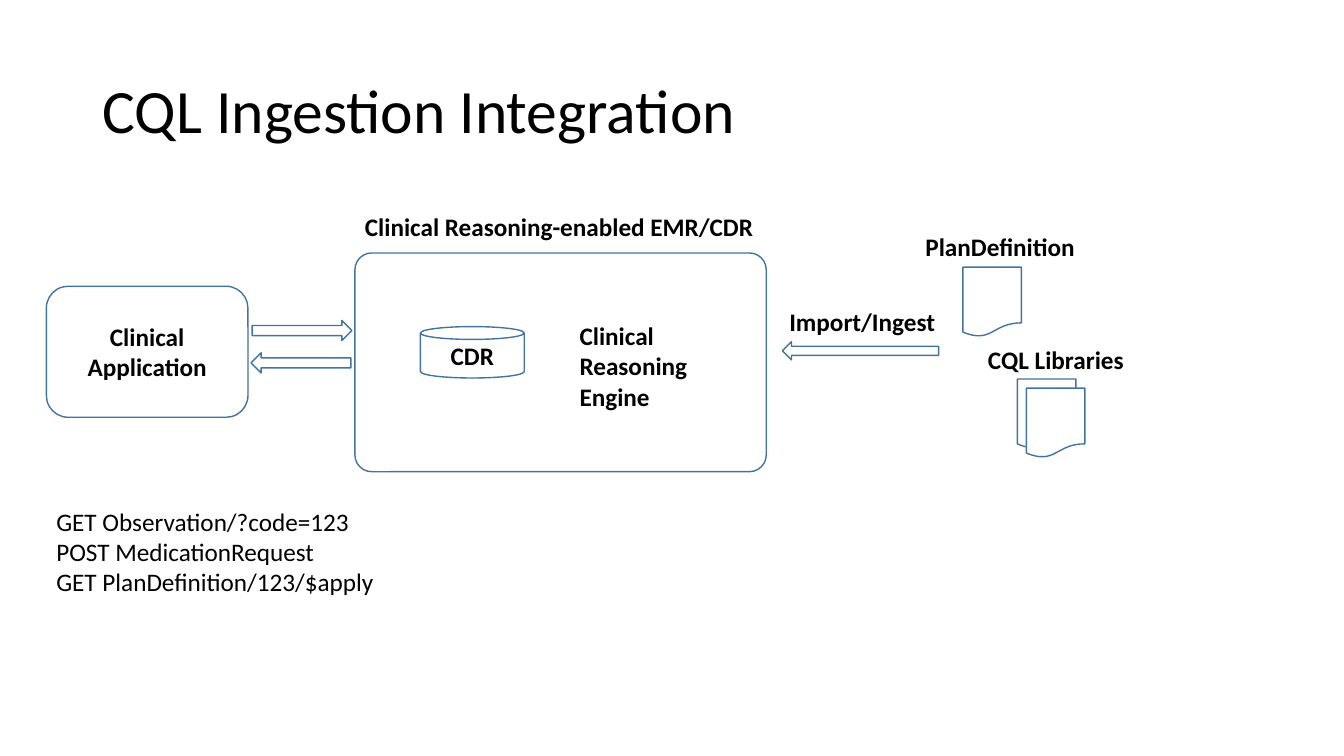
import pptx
import pptx.dml.color
import pptx.enum.shapes
import pptx.enum.text
import pptx.util

SHAPE = pptx.enum.shapes.MSO_SHAPE
ANCHOR = pptx.enum.text.MSO_ANCHOR
ALIGN = pptx.enum.text.PP_ALIGN
FIT = pptx.enum.text.MSO_AUTO_SIZE

deck = pptx.Presentation()
deck.slide_width = pptx.util.Inches(13.33)
deck.slide_height = pptx.util.Inches(7.5)
slide = deck.slides.add_slide(deck.slide_layouts[6])

# The grid has 133.3 columns and 75 rows, so each cell is a tenth of an inch
COLUMN = deck.slide_width / 133.3
ROW = deck.slide_height / 75


def write(frame, lines, size=18, bold=True, align=ALIGN.LEFT):
    for number, line in enumerate(lines):
        paragraph = frame.paragraphs[0] if number == 0 else frame.add_paragraph()
        paragraph.alignment = align
        run = paragraph.add_run()
        run.text = line
        run.font.name = "Calibri"
        run.font.size = pptx.util.Pt(size)
        run.font.bold = bold
        run.font.color.rgb = pptx.dml.color.RGBColor.from_string("000000")


def cells(left, top, width, height):
    """Turn grid columns and rows into slide lengths."""
    return [round(n * unit) for n, unit in
            ((left, COLUMN), (top, ROW), (width, COLUMN), (height, ROW))]


title = slide.shapes.add_textbox(*cells(9.2, 4, 115, 14.5)).text_frame
title.word_wrap = True
title.vertical_anchor = ANCHOR.MIDDLE
write(title, ["CQL Ingestion Integration"], size=44, bold=False)
title.paragraphs[0].line_spacing = 0.9

# Outlined parts, back to front: preset, grid place, fill, rotation, corner, text
page = (5.8, 6.9)
parts = [
    (SHAPE.ROUNDED_RECTANGLE, (35.2, 25.1, 40.8, 21.7), None, 0, 0.077, ""),
    (SHAPE.FLOWCHART_DOCUMENT, (95.5, 26.5, *page), None, 0, None, ""),
    (SHAPE.FLOWCHART_DOCUMENT, (100.9, 37.6, *page), None, 0, None, ""),
    (SHAPE.FLOWCHART_DOCUMENT, (101.8, 38.5, *page), "FFFFFF", 0, None, ""),
    (SHAPE.RIGHT_ARROW, (77.6, 33.9, 15.5, 1.8), "FFFFFF", 180, None, ""),
    (SHAPE.ROUNDED_RECTANGLE, (4.6, 28.4, 20, 13), None, 0, None,
     "Clinical Application"),
    (SHAPE.RIGHT_ARROW, (25, 31.8, 9.9, 2), "FFFFFF", 0, None, ""),
    (SHAPE.RIGHT_ARROW, (24.9, 35, 9.9, 2), "FFFFFF", 180, None, ""),
    (SHAPE.CAN, (41.7, 32.4, 10.3, 5.1), "FFFFFF", 0, None, "CDR"),
]
for preset, place, fill, rotation, corner, label in parts:
    part = slide.shapes.add_shape(preset, *cells(*place))
    part.shadow.inherit = False
    part.rotation = rotation
    part.line.color.rgb = pptx.dml.color.RGBColor.from_string("43739E")
    part.line.width = pptx.util.Pt(1)
    if fill:
        part.fill.solid()
        part.fill.fore_color.rgb = pptx.dml.color.RGBColor.from_string(fill)
    else:
        part.fill.background()
    if corner:
        part.adjustments[0] = corner
    if label:
        part.text_frame.word_wrap = True
        part.text_frame.vertical_anchor = ANCHOR.MIDDLE
        write(part.text_frame, [label], align=ALIGN.CENTER)

# Free labels: grid place, wrapping, bold, lines
labels = [
    ((35.2, 20.5, 40.8, 4), False, True, ["Clinical Reasoning-enabled EMR/CDR"]),
    ((90.8, 22.5, 17, 4), False, True, ["PlanDefinition"]),
    ((97, 33.7, 15.6, 4), False, True, ["CQL Libraries"]),
    ((77.3, 29.9, 16.6, 4), False, True, ["Import/Ingest"]),
    ((56.5, 31.3, 13.7, 10.1), True, True, ["Clinical Reasoning Engine"]),
    ((4.6, 49.7, 33.9, 10.1), False, False,
     ["GET Observation/?code=123", "POST MedicationRequest",
      "GET PlanDefinition/123/$apply"]),
]
for place, wrap, bold, lines in labels:
    frame = slide.shapes.add_textbox(*cells(*place)).text_frame
    frame.word_wrap = wrap
    frame.auto_size = FIT.SHAPE_TO_FIT_TEXT
    write(frame, lines, bold=bold)

deck.save("out.pptx")
